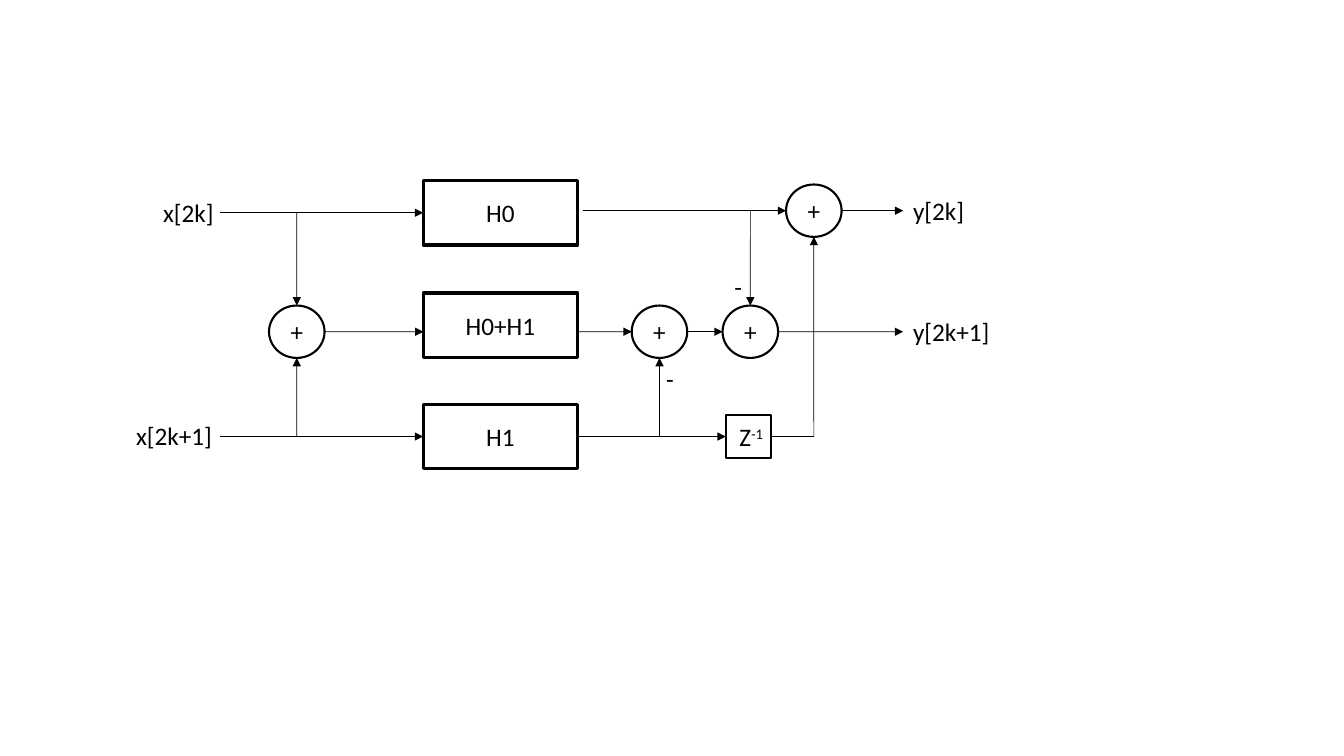
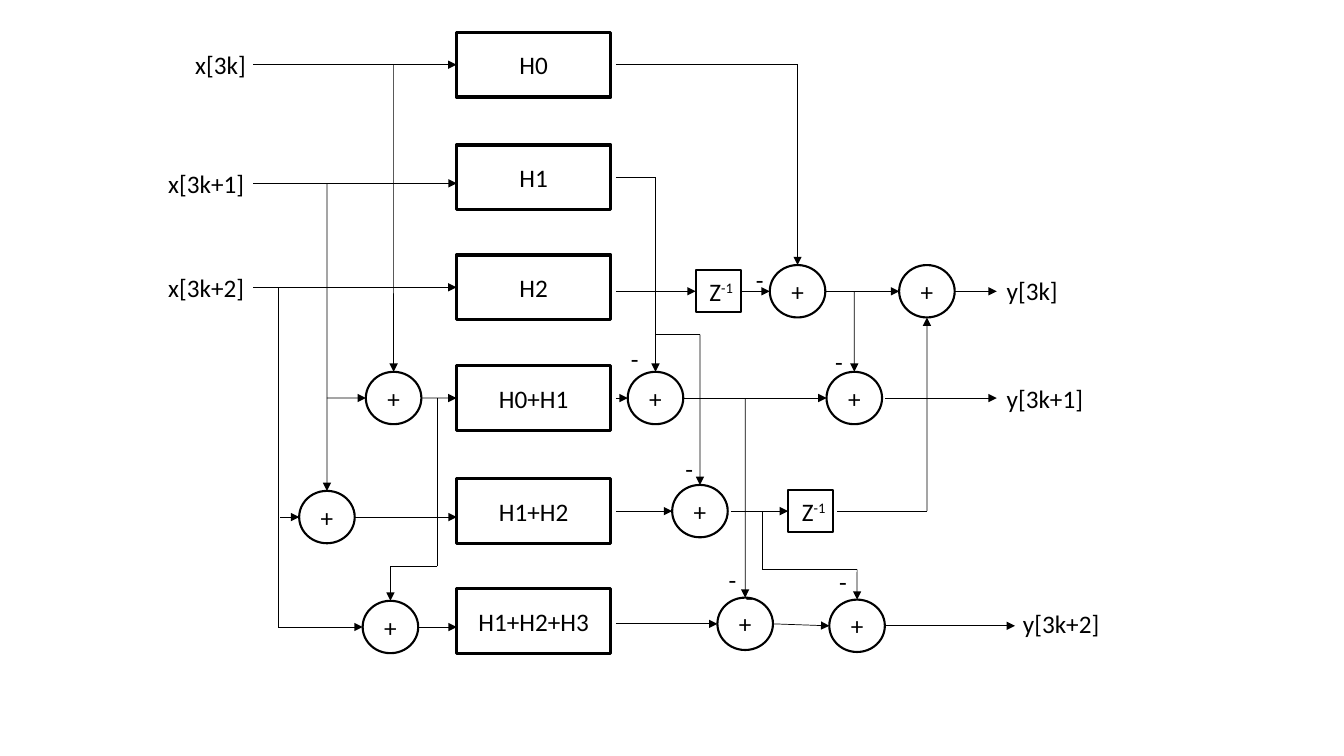
from collections import namedtuple

from lxml.etree import SubElement
from pptx import Presentation
from pptx.dml.color import RGBColor
from pptx.enum.shapes import MSO_CONNECTOR, MSO_SHAPE
from pptx.enum.text import MSO_ANCHOR, PP_ALIGN
from pptx.oxml.ns import qn
from pptx.util import Cm, Pt

BLACK = RGBColor(0x00, 0x00, 0x00)
WHITE = RGBColor(0xFF, 0xFF, 0xFF)

FONT_FORMAT = {"name": "Calibri", "size": Pt(18)}
SHAPE_TEXT_FORMAT = {
    "word_wrap": True,
    "vertical_anchor": MSO_ANCHOR.MIDDLE,
    "margin_left": 0,
    "margin_right": 0,
    "margin_top": 0,
    "margin_bottom": 0,
}
DELAY_TEXT_FORMAT = SHAPE_TEXT_FORMAT | {"margin_left": Cm(0.15)}
LABEL_TEXT_FORMAT = {"word_wrap": True}

BLOCK_SIZE = (3.89, 1.63)
ADDER_SIZE = (1.4, 1.32)
DELAY_SIZE = (1.14, 1.07)
LABEL_WIDTH, MINUS_WIDTH, LABEL_HEIGHT = 2.54, 1.04, 1.03

TOP, LEFT, BOTTOM, RIGHT = range(4)
Joint = namedtuple("Joint", "shape side")


def apply_format(target, values):
    for name, value in values.items():
        setattr(target, name, value)


def write_text(frame, text, frame_format, align, superscript=""):
    apply_format(frame, frame_format)
    para = frame.paragraphs[0]
    para.alignment = align
    for content in filter(None, (text, superscript)):
        span = para.add_run()
        span.text = content
        apply_format(span.font, FONT_FORMAT)
        span.font.color.rgb = BLACK
    if superscript:
        span.font._element.set("baseline", "30000")


def add_node(page, kind, center, size, line_width):
    (x, y), (width, height) = center, size
    node = page.shapes.add_shape(
        kind, Cm(x - width / 2), Cm(y - height / 2), Cm(width), Cm(height)
    )
    node.shadow.inherit = False
    node.line.color.rgb = BLACK
    node.line.width = Pt(line_width)
    return node


def add_block(page, text, center):
    block = add_node(page, MSO_SHAPE.RECTANGLE, center, BLOCK_SIZE, 2.25)
    block.fill.solid()
    block.fill.fore_color.rgb = WHITE
    write_text(block.text_frame, text, SHAPE_TEXT_FORMAT, PP_ALIGN.CENTER)
    return block


def add_delay(page, center):
    delay = add_node(page, MSO_SHAPE.RECTANGLE, center, DELAY_SIZE, 1.5)
    delay.fill.solid()
    delay.fill.fore_color.rgb = WHITE
    write_text(delay.text_frame, "Z", DELAY_TEXT_FORMAT, PP_ALIGN.CENTER, "-1")
    return delay


def add_adder(page, x, y):
    adder = add_node(page, MSO_SHAPE.OVAL, (x, y), ADDER_SIZE, 1.5)
    adder.fill.background()
    write_text(adder.text_frame, "+", SHAPE_TEXT_FORMAT, PP_ALIGN.CENTER)
    return adder


def add_label(page, text, left, top, width=LABEL_WIDTH):
    box = page.shapes.add_textbox(Cm(left), Cm(top), Cm(width), Cm(LABEL_HEIGHT))
    write_text(box.text_frame, text, LABEL_TEXT_FORMAT, PP_ALIGN.LEFT)


def add_minuses(page, places):
    for left, top in places:
        add_label(page, "-", left, top, MINUS_WIDTH)


def locate(stop):
    if not isinstance(stop, Joint):
        return Cm(stop[0]), Cm(stop[1])
    shape, side = stop
    across = {LEFT: 0, RIGHT: shape.width}.get(side, shape.width // 2)
    down = {TOP: 0, BOTTOM: shape.height}.get(side, shape.height // 2)
    return shape.left + across, shape.top + down


def is_rectangle_joint(stop):
    return isinstance(stop, Joint) and stop.shape.auto_shape_type == MSO_SHAPE.RECTANGLE


def add_wire(page, *stops):
    for start, end in zip(stops, stops[1:]):
        wire = page.shapes.add_connector(
            MSO_CONNECTOR.STRAIGHT, *locate(start), *locate(end)
        )
        wire.line.color.rgb = BLACK
        wire.line.width = Pt(0.5)
        if is_rectangle_joint(start):
            wire.begin_connect(*start)
        if is_rectangle_joint(end):
            wire.end_connect(*end)
        SubElement(wire._element.spPr, qn("a:effectLst"))
    SubElement(wire.line._get_or_add_ln(), qn("a:tailEnd"), type="triangle")


def build_two_phase_page(page):
    even, middle, odd, column = 5.31, 8.36, 11, 12.61
    input_x, block_left, block_right, output_x = 5.54, 10.67, 14.55, 22.76

    h0 = add_block(page, "H0", (column, 5.36))
    add_block(page, "H0+H1", (column, 8.2))
    h1 = add_block(page, "H1", (column, odd))
    mixer = add_adder(page, 7.48, middle)
    minus_h1 = add_adder(page, 16.62, middle)
    minus_h0 = add_adder(page, 18.91, middle)
    even_sum = add_adder(page, 20.51, even)
    delay = add_delay(page, (18.86, odd))

    for stops in (
        ((input_x, 5.36), Joint(h0, LEFT)),
        ((input_x, odd), Joint(h1, LEFT)),
        ((7.48, 5.36), Joint(mixer, TOP)),
        ((7.48, odd), Joint(mixer, BOTTOM)),
        (Joint(mixer, RIGHT), (block_left, middle)),
        ((block_right, middle), Joint(minus_h1, LEFT)),
        (Joint(h1, RIGHT), Joint(delay, LEFT)),
        ((16.62, odd), Joint(minus_h1, BOTTOM)),
        (Joint(minus_h1, RIGHT), Joint(minus_h0, LEFT)),
        ((14.68, even), Joint(even_sum, LEFT)),
        ((18.91, even), Joint(minus_h0, TOP)),
        (Joint(delay, RIGHT), (20.51, odd), Joint(even_sum, BOTTOM)),
        (Joint(minus_h0, RIGHT), (output_x, middle)),
        (Joint(even_sum, RIGHT), (output_x, even)),
    ):
        add_wire(page, *stops)

    add_label(page, "x[2k]", 3.86, 4.85)
    add_label(page, "x[2k+1]", 3.18, 10.46)
    add_label(page, "y[2k]", output_x, 4.8)
    add_label(page, "y[2k+1]", output_x, 7.85)
    add_minuses(page, ((16.54, 9.02), (18.26, 6.71)))


def build_three_phase_page(page):
    names = ("H0", "H1", "H2", "H0+H1", "H1+H2", "H1+H2+H3")
    rows = (1.63, 4.47, 7.24, 10.03, 12.88, 15.65)
    row0, row1, row2, row01, row12, _ = rows
    input_x, block_left, block_right, output_x = 6.38, 11.51, 15.52, 25.12
    input1, delayed, mix12, mix_all, sum_all = 4.62, 7.34, 13.03, 15.8, 15.72

    blocks = [add_block(page, name, (13.45, row)) for name, row in zip(names, rows)]
    h0, _, h2, h01, _, _ = blocks
    add01 = add_adder(page, 9.92, row01)
    add12 = add_adder(page, 8.24, mix12)
    add_all = add_adder(page, 9.84, mix_all)
    minus_h1 = add_adder(page, 16.52, row01)
    minus_h2 = add_adder(page, 20.1, delayed)
    first_sum = add_adder(page, 23.36, delayed)
    second_sum = add_adder(page, 21.53, row01)
    minus_h1_low = add_adder(page, 17.64, row12)
    minus_all = add_adder(page, 18.78, sum_all)
    third_sum = add_adder(page, 21.6, 15.77)
    delay_h2 = add_delay(page, (18.1, delayed))
    delay_h12 = add_delay(page, (20.43, row12))

    for stops in (
        ((input_x, row0), Joint(h0, LEFT)),
        ((input_x, input1), (block_left, input1)),
        ((input_x, row2), Joint(h2, LEFT)),
        ((9.92, row0), Joint(add01, TOP)),
        ((8.24, input1), Joint(add12, TOP)),
        ((8.24, row01), Joint(add01, LEFT)),
        ((7.01, row2), (7.01, mix_all), Joint(add_all, LEFT)),
        ((7.06, mix12), Joint(add12, LEFT)),
        (Joint(add01, RIGHT), Joint(h01, LEFT)),
        (Joint(add12, RIGHT), (block_left, mix12)),
        (Joint(add_all, RIGHT), (block_left, mix_all)),
        ((11.02, row01), (11.02, 14.27), (9.84, 14.27), Joint(add_all, TOP)),
        ((block_right, row0), (20.1, row0), Joint(minus_h2, TOP)),
        ((block_right, row1), (16.52, row1), Joint(minus_h1, TOP)),
        ((block_right, delayed), Joint(delay_h2, LEFT)),
        ((block_right, row01), Joint(minus_h1, LEFT)),
        ((block_right, row12), Joint(minus_h1_low, LEFT)),
        ((block_right, sum_all), Joint(minus_all, LEFT)),
        (Joint(delay_h2, RIGHT), Joint(minus_h2, LEFT)),
        (Joint(minus_h2, RIGHT), Joint(first_sum, LEFT)),
        (Joint(first_sum, RIGHT), (output_x, delayed)),
        ((21.53, delayed), Joint(second_sum, TOP)),
        (Joint(minus_h1, RIGHT), Joint(second_sum, LEFT)),
        ((22.3, row01), (output_x, row01)),
        ((16.52, 8.43), (17.64, 8.43), Joint(minus_h1_low, TOP)),
        ((18.42, row12), Joint(delay_h12, LEFT)),
        ((21.1, row12), (23.36, row12), Joint(first_sum, BOTTOM)),
        ((18.78, row01), Joint(minus_all, TOP)),
        ((19.2, row12), (19.2, 14.35), (21.6, 14.35), Joint(third_sum, TOP)),
        (Joint(minus_all, RIGHT), Joint(third_sum, LEFT)),
        (Joint(third_sum, RIGHT), (25.58, 15.77)),
    ):
        add_wire(page, *stops)

    add_label(page, "x[3k]", 4.67, 1.12)
    add_label(page, "x[3k+1]", 3.99, 4.11)
    add_label(page, "x[3k+2]", 3.99, 6.73)
    add_label(page, "y[3k]", output_x, 6.81)
    add_label(page, "y[3k+1]", output_x, 9.53)
    add_label(page, "y[3k+2]", 25.53, 15.21)
    add_minuses(
        page,
        (
            (18.8, 6.53),
            (15.65, 8.53),
            (20.8, 8.59),
            (17.02, 11.3),
            (18.11, 14.1),
            (18.54, 14.53),
            (20.9, 14.15),
        ),
    )


def main():
    deck = Presentation()
    deck.slide_width, deck.slide_height = Cm(33.87), Cm(19.05)
    for build_page in (build_two_phase_page, build_three_phase_page):
        build_page(deck.slides.add_slide(deck.slide_layouts[6]))
    deck.save("out.pptx")


if __name__ == "__main__":
    main()
